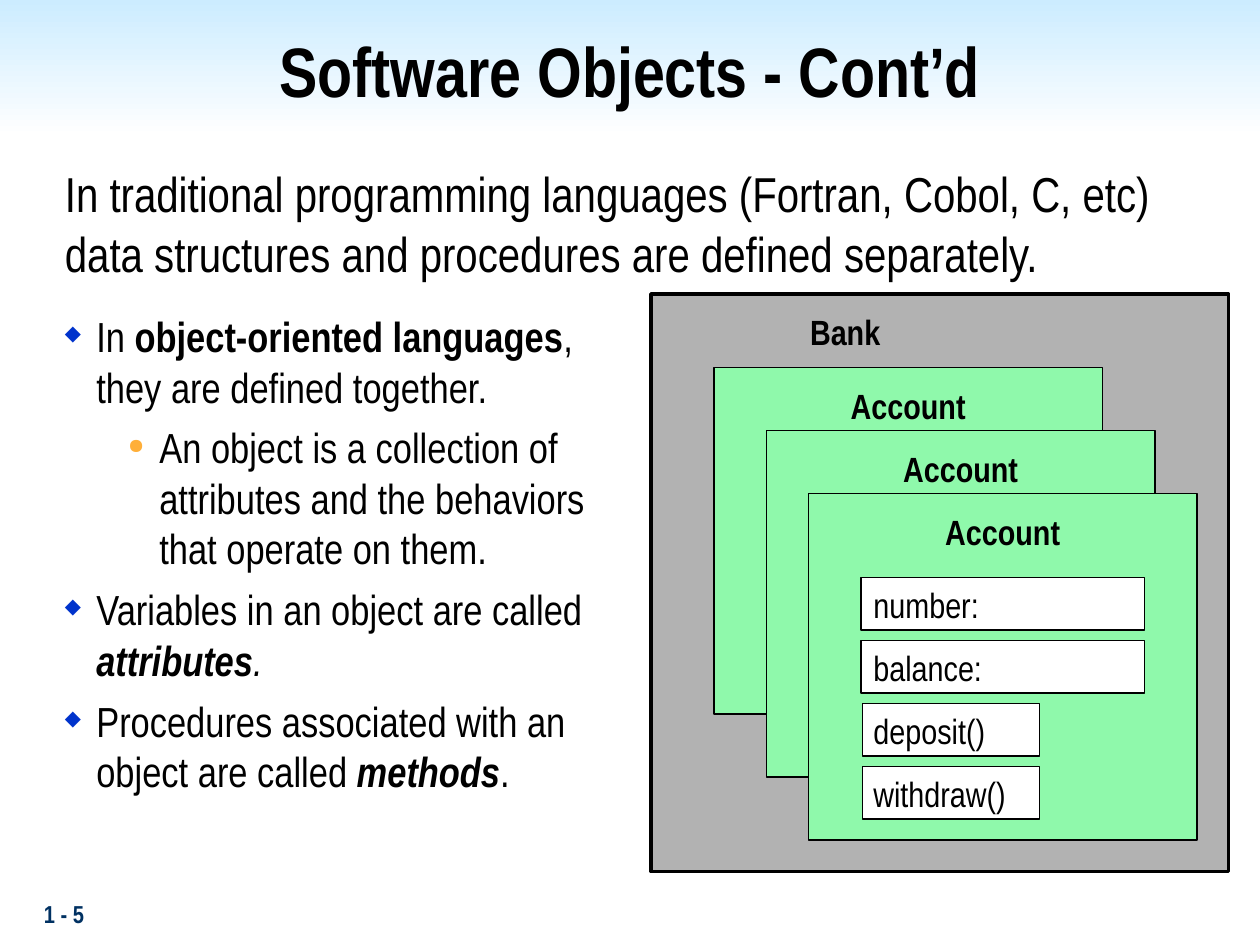
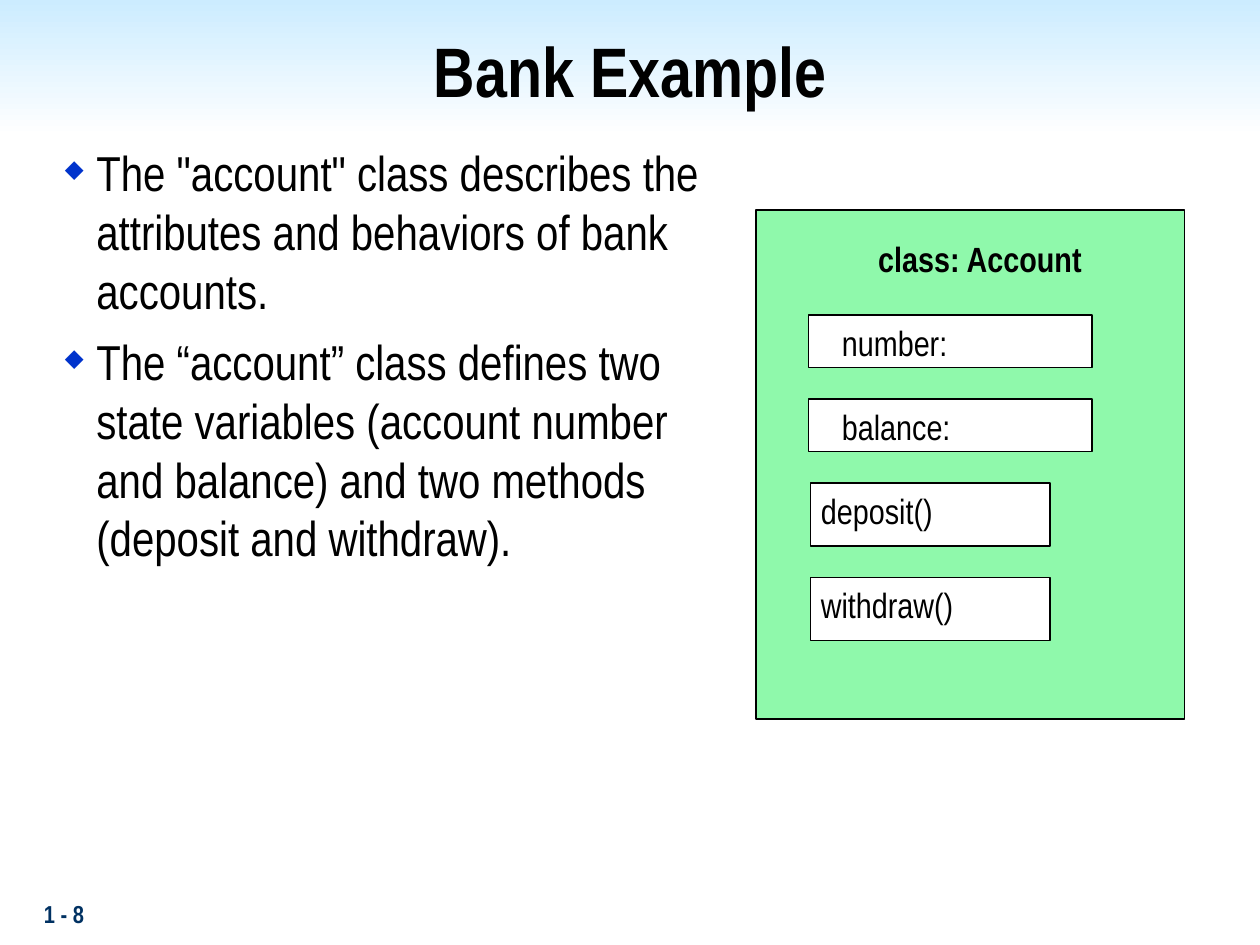
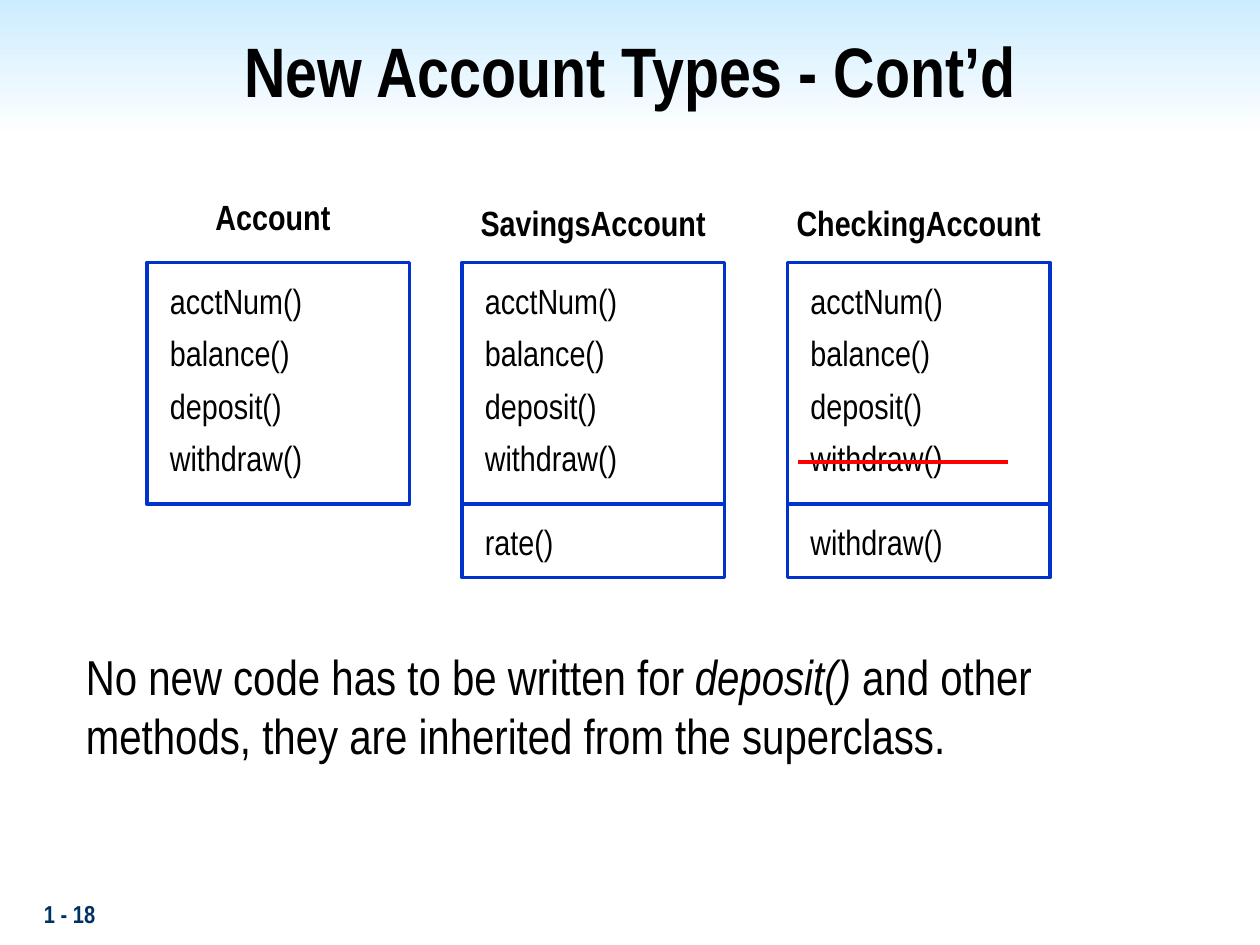
"""Build three slides on software objects and bank account classes."""
from lxml import etree
from pptx import Presentation
from pptx import util as u
from pptx.dml.color import RGBColor
from pptx.enum import shapes, text
from pptx.oxml import ns

FONT = "Arial Narrow"
COLORS = {
    "black": "000000", "white": "FFFFFF", "sky": "CCECFF", "navy": "003162",
    "blue": "0033CC", "orange": "FFAF39", "gray": "B2B2B2", "green": "8FF9AB",
    "red": "FF0000",
}
BULLETS = {"main": ("◆", "blue", 18), "sub": ("●", "orange", 54)}
HANG = 18
LABEL_HEIGHT = 31.5


def color(name):
    return RGBColor.from_string(COLORS[name])


class Slides:
    """Hold the shared style and the current page."""

    def __init__(self):
        self.deck = Presentation()
        self.deck.slide_width, self.deck.slide_height = u.Pt(720), u.Pt(540)
        self.page = None

    def start(self, title, number):
        self.page = self.deck.slides.add_slide(self.deck.slide_layouts[6])
        band = self.rect(0, 0, 720, 78, "sky", None)
        band.fill.gradient()
        band.fill.gradient_angle = 270
        for stop, name in zip(band.fill.gradient_stops, ("sky", "white")):
            stop.color.rgb = color(name)
        self.textbox([number], 18, 510, 150, 24, size=14, bold=True, ink="navy")
        self.textbox([title], 12, 12, 696, 54, size=40, bold=True, center=True)

    def rect(self, x, y, width, height, fill, line="black", weight=0.75):
        box = self.page.shapes.add_shape(
            shapes.MSO_SHAPE.RECTANGLE, u.Pt(x), u.Pt(y), u.Pt(width), u.Pt(height))
        box.shadow.inherit = False
        box.fill.solid()
        box.fill.fore_color.rgb = color(fill)
        if line:
            box.line.color.rgb = color(line)
            box.line.width = u.Pt(weight)
        else:
            box.line.fill.background()
        return box

    def textbox(self, paras, x, y, width, height=LABEL_HEIGHT, size=20, bold=False,
                ink="black", center=False, before=0, bullets=()):
        box = self.page.shapes.add_textbox(u.Pt(x), u.Pt(y), u.Pt(width), u.Pt(height))
        frame = box.text_frame
        frame.word_wrap = True
        for index, content in enumerate(paras):
            para = frame.paragraphs[0] if index == 0 else frame.add_paragraph()
            para.space_before = u.Pt(before)
            if center:
                para.alignment = text.PP_ALIGN.CENTER
            pieces = [(content, "")] if isinstance(content, str) else content
            for words, style in pieces:
                span = para.add_run()
                span.text = words
                span.font.name = FONT
                span.font.size = u.Pt(size)
                span.font.bold = bold or "b" in style
                span.font.italic = "i" in style
                span.font.color.rgb = color(ink)
            if bullets:
                self.bullet(para, bullets[index])
        return frame

    def bullet(self, para, kind):
        mark, ink, margin = BULLETS[kind]
        para.level = list(BULLETS).index(kind)
        props = para._p.get_or_add_pPr()
        props.set("marL", str(u.Pt(margin)))
        props.set("indent", str(-u.Pt(HANG)))
        tint = etree.SubElement(props, ns.qn("a:buClr"))
        etree.SubElement(tint, ns.qn("a:srgbClr"), val=COLORS[ink])
        etree.SubElement(props, ns.qn("a:buSzPct"), val="50000")
        etree.SubElement(props, ns.qn("a:buChar"), char=mark)

    def label(self, words, x, y, width):
        self.textbox([words], x, y, width, bold=True, center=True)

    def field(self, words, x, y, width, height, text_x, text_width):
        self.rect(x, y, width, height, "white")
        self.textbox([words], text_x, y, text_width)

    def line(self, x1, y1, x2, y2, ink, weight):
        link = self.page.shapes.add_connector(
            shapes.MSO_CONNECTOR.STRAIGHT, u.Pt(x1), u.Pt(y1), u.Pt(x2), u.Pt(y2))
        link.line.color.rgb = color(ink)
        link.line.width = u.Pt(weight)
        etree.SubElement(link._element.spPr, ns.qn("a:effectLst"))


def software_objects(slides):
    slides.start("Software Objects - Cont’d", "1 - 5")
    slides.textbox([
        [("In ", ""), ("object-oriented languages", "b"), (", they are defined together.", "")],
        "An object is a collection of attributes and the behaviors that operate on them.",
        [("Variables in an object are called ", ""), ("attributes", "bi"), (".", "i")],
        [("Procedures associated with an object are called ", ""), ("methods", "bi"), (".", "")],
    ], 30, 174, 324, 330, size=24, before=6, bullets=("main", "sub", "main", "main"))
    intro = slides.textbox([
        "In traditional programming languages (Fortran, Cobol, C, etc)",
        "data structures and procedures are defined separately.",
    ], 30, 90, 660, 75, size=28, before=7)
    intro.paragraphs[1].line_spacing = 0.8

    slides.rect(372, 168, 330, 330, "gray", weight=2)
    slides.label("Bank", 378, 174, 210)
    for x, y in ((408, 210), (438, 246), (462, 282)):
        slides.rect(x, y, 222, 198, "green")
        slides.label("Account", x + 6, y + 6, 210)
    members = (("number:", 492, 162, 77), ("balance:", 492, 162, 77),
               ("deposit()", 493, 101, 100), ("withdraw()", 493, 101, 100))
    for row, (words, x, width, text_width) in enumerate(members):
        slides.field(words, x, 330 + 36 * row, width, 30, 492, text_width)


def bank_example(slides):
    slides.start("Bank Example", "1 - 8")
    slides.textbox([
        'The "account" class describes the attributes and behaviors of bank accounts.',
        "The “account” class defines two state variables (account number and balance) "
        "and two methods (deposit and withdraw).",
    ], 30, 78, 395, 426, size=28, before=7, bullets=("main", "main"))

    slides.rect(432, 120, 245, 291, "green")
    slides.label("class: Account", 468, 132, 184)
    for words, y in (("number:", 180), ("balance:", 228)):
        slides.field(words, 462, y, 162, 30, 474, 77)
    for words, y in (("deposit()", 276), ("withdraw()", 330)):
        slides.field(words, 463, y, 137, 36, 462, 135)


def account_types(slides):
    slides.start("New Account Types - Cont’d", "1 - 18")
    methods = ("acctNum()", "balance()", "deposit()", "withdraw()")
    classes = (("Account", 84, (84, 108, 144), None),
               ("SavingsAccount", 264, (252, 111.6, 174), "rate()"),
               ("CheckingAccount", 450, (426, 111.6, 198), "withdraw()"))
    for name, x, heading, added in classes:
        slides.label(name, *heading)
        slides.rect(x, 150, 150, 138, "white", "blue", 2)
        for row, method in enumerate(methods):
            slides.textbox([method], x + 6, 156 + 30 * row, 138)
        if added:
            slides.rect(x, 288, 150, 42, "white", "blue", 2)
            slides.textbox([added], x + 6, 294, 138)
    slides.line(456, 264, 576, 264, "red", 2.25)
    slides.textbox([[
        ("No new code has to be written for ", ""), ("deposit()", "i"),
        (" and other methods, they are inherited from the superclass.", ""),
    ]], 42, 366, 630, 75, size=28)


def main():
    slides = Slides()
    software_objects(slides)
    bank_example(slides)
    account_types(slides)
    slides.deck.save("out.pptx")


if __name__ == "__main__":
    main()
